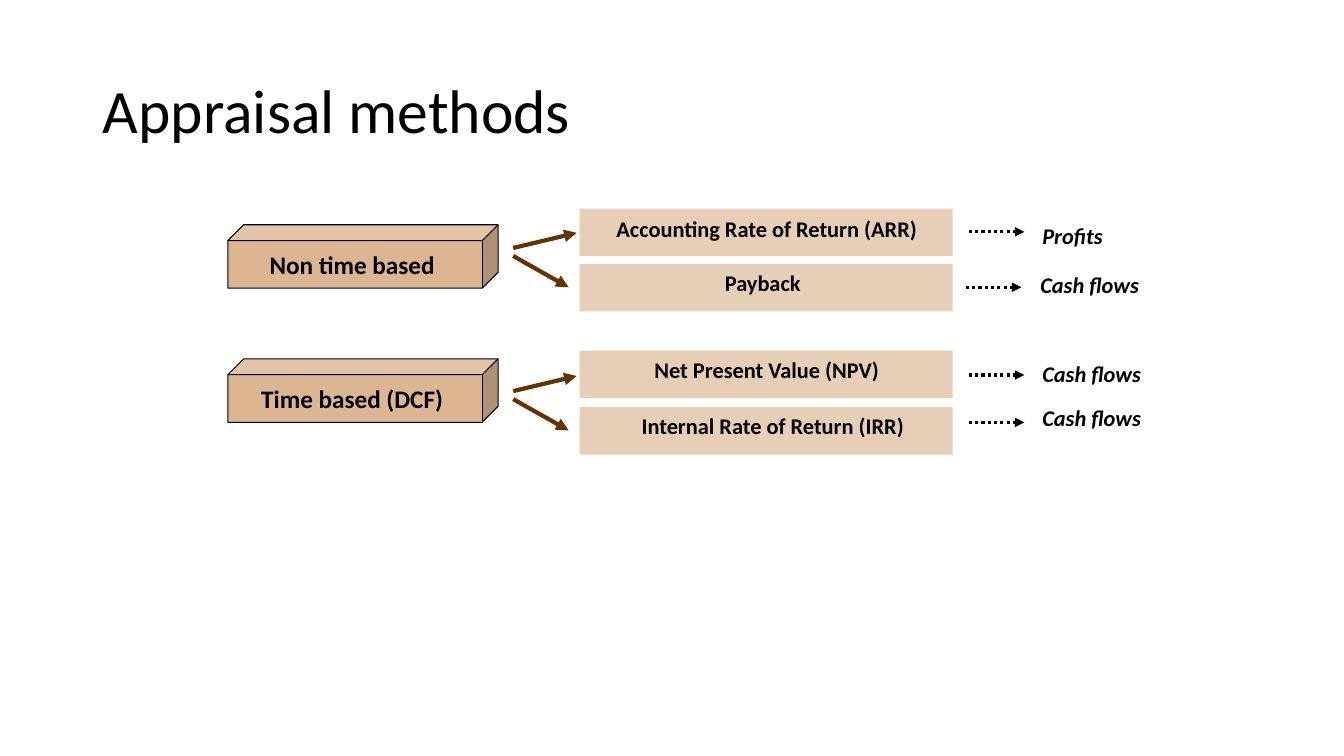
from lxml import etree
from pptx import Presentation
from pptx import util as u
from pptx.dml.color import RGBColor
from pptx.enum import dml, shapes, text
from pptx.oxml.ns import qn

BLACK = RGBColor(0x00, 0x00, 0x00)
BROWN = RGBColor(0x66, 0x33, 0x00)
TAN = RGBColor(0xDB, 0xB6, 0x91)
LIGHT_TAN = RGBColor(0xE7, 0xCF, 0xB7)
FONT = "Calibri"

GROUPS = [("Non time based ", 2.23, 2.46), ("Time based (DCF) ", 3.56, 3.88)]
METHODS = [
    ("Accounting Rate of Return (ARR)", 2.07, (6.01, 2.09, 3.19)),
    ("Payback", 2.62, (7.09, 2.62, 0.95)),
    ("Net Present Value (NPV)", 3.48, (6.39, 3.48, 2.43)),
    ("Internal Rate of Return (IRR)", 4.04, (6.26, 4.04, 2.81)),
]
MEASURES = [
    ("Profits", (10.24, 2.15, 0.8), (9.61, 2.3)),
    ("Cash flows", (10.22, 2.64, 1.18), (9.58, 2.85)),
    ("Cash flows", (10.24, 3.52, 1.18), (9.61, 3.72)),
    ("Cash flows", (10.24, 3.96, 1.18), (9.61, 4.19)),
]


def write(tf, content, size, align, bold=True, italic=False):
    tf.text = content
    p = tf.paragraphs[0]
    p.alignment = align
    f = p.runs[0].font
    f.name, f.size, f.bold, f.italic = FONT, u.Pt(size), bold, italic
    f.color.rgb = BLACK


def add_title(s, content):
    sp = s.shapes.title
    sp.left, sp.top = u.Inches(0.92), u.Inches(0.4)
    sp.width, sp.height = u.Inches(11.5), u.Inches(1.45)
    tf = sp.text_frame
    tf.vertical_anchor = text.MSO_ANCHOR.MIDDLE
    write(tf, content, 44, text.PP_ALIGN.LEFT, bold=False)
    tf.paragraphs[0].line_spacing = 0.9


def add_block(s, kind, x, y, w, h, fill):
    sp = s.shapes.add_shape(kind, u.Inches(x), u.Inches(y), u.Inches(w), u.Inches(h))
    sp.shadow.inherit = False
    sp.fill.solid()
    sp.fill.fore_color.rgb = fill
    sp.line.fill.background()
    return sp


def add_cube(s, content, y):
    sp = add_block(s, shapes.MSO_SHAPE.CUBE, 2.26, y, 2.68, 0.63, TAN)
    sp.line.color.rgb = BLACK
    sp.line.width = u.Pt(0.75)
    tf = sp.text_frame
    tf.word_wrap = False
    tf.vertical_anchor = text.MSO_ANCHOR.MIDDLE
    write(tf, content, 18, text.PP_ALIGN.CENTER)


def add_label(s, content, x, y, w, align, italic=False):
    sp = s.shapes.add_textbox(u.Inches(x), u.Inches(y), u.Inches(w), u.Inches(0.37))
    tf = sp.text_frame
    tf.word_wrap = False
    tf.auto_size = text.MSO_AUTO_SIZE.SHAPE_TO_FIT_TEXT
    write(tf, content, 16, align, italic=italic)


def add_arrow(s, x, y, dx, dy, color, width, dash=None):
    cn = s.shapes.add_connector(
        shapes.MSO_CONNECTOR.STRAIGHT,
        u.Inches(x), u.Inches(y), u.Inches(x + dx), u.Inches(y + dy))
    cn.line.color.rgb = color
    cn.line.width = u.Pt(width)
    if dash:
        cn.line.dash_style = dash
    spPr = cn._element.spPr
    etree.SubElement(spPr.find(qn("a:ln")), qn("a:tailEnd"), type="triangle")
    etree.SubElement(spPr, qn("a:effectLst"))


def main():
    prs = Presentation()
    prs.slide_width, prs.slide_height = u.Inches(13.33), u.Inches(7.5)
    s = prs.slides.add_slide(prs.slide_layouts[5])
    add_title(s, "Appraisal methods")
    for name, bar_y, label in METHODS:
        add_block(s, shapes.MSO_SHAPE.RECTANGLE, 5.75, bar_y, 3.7, 0.47, LIGHT_TAN)
        add_label(s, name, *label, text.PP_ALIGN.CENTER)
    for name, cube_y, arrow_y in GROUPS:
        add_cube(s, name, cube_y)
        add_arrow(s, 5.09, arrow_y, 0.63, -0.15, BROWN, 3)
        add_arrow(s, 5.09, arrow_y + 0.08, 0.55, 0.31, BROWN, 3)
    for name, label, start in MEASURES:
        add_arrow(s, *start, 0.55, 0, BLACK, 2.25, dml.MSO_LINE.ROUND_DOT)
        add_label(s, name, *label, text.PP_ALIGN.LEFT, italic=True)
    prs.save("out.pptx")


if __name__ == "__main__":
    main()
